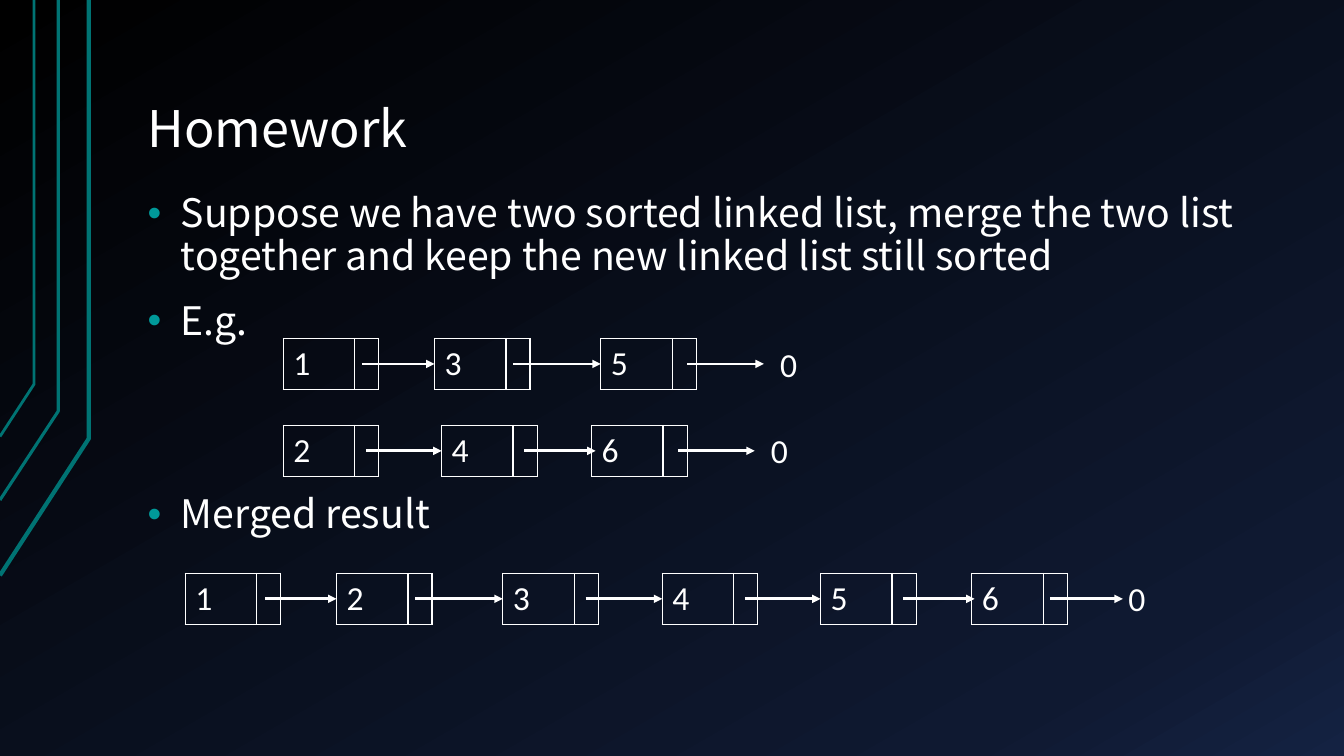
from pptx import Presentation
from pptx.dml.color import RGBColor
from pptx.enum.shapes import MSO_CONNECTOR
from pptx.enum.text import MSO_ANCHOR, MSO_AUTO_SIZE, PP_ALIGN
from pptx.oxml import parse_xml
from pptx.oxml.ns import nsdecls, qn
from pptx.util import Cm, Pt

STRAIGHT = MSO_CONNECTOR.STRAIGHT
LEFT = PP_ALIGN.LEFT
TOP, BOTTOM = MSO_ANCHOR.TOP, MSO_ANCHOR.BOTTOM
NO_AUTOFIT, GROW = MSO_AUTO_SIZE.NONE, MSO_AUTO_SIZE.SHAPE_TO_FIT_TEXT

WHITE, TEAL, BULLET_TEAL = "FFFFFF", "007373", "009999"
TEXT_FONT, NODE_FONT = "Noto Sans CJK SC", "Calibri"
VALUE_WIDTH, POINTER_WIDTH, NODE_HEIGHT = 1.8, 0.59, 1.28

BACKGROUND_STOPS = [(0, "000000"), (85, "0F1931"), (100, "142242")]
# Corner points in cm from the top left of the slide, and line width in points
EDGE_LINES = [
    ([(0, 14.5), (2.24, 11.05), (2.24, 0)], 3),
    ([(0, 12.6), (1.47, 10.36), (1.47, 0)], 2.25),
    ([(0, 11), (0.86, 9.68), (0.86, 0)], 2),
]
# Text and space before it in points; the last gap leaves room for two lists
BULLETS = [
    ("Suppose we have two sorted linked list, merge the two list together "
     "and keep the new linked list still sorted", 16),
    ("E.g.", 16),
    ("Merged result", 108),
]
# Left, top, nodes as (value, node left, arrow start, arrow end), left of the 0
LINKED_LISTS = [
    (7.14, 8.53, [("1", 0, 1.98, 3.81), ("3", 3.81, 5.79, 8),
                  ("5", 8, 10.18, 12.11)], 12.27),
    (7.14, 10.72, [("2", 0, 2.08, 3.99), ("4", 3.99, 6.07, 7.87),
                   ("6", 7.77, 9.95, 11.88)], 12.04),
    (4.67, 14.45, [("1", 0, 2.01, 3.81), ("2", 3.81, 5.79, 8),
                   ("3", 8, 10.09, 12.02), ("4", 12.02, 14.1, 16.01),
                   ("5", 16.01, 18.09, 19.89), ("6", 19.82, 21.8, 23.63)], 23.52),
]


def set_color(color_format, color):
    """Apply a hex colour to a colour format."""
    color_format.rgb = RGBColor.from_string(color)


def style_line(line, color, width):
    """Give a line a solid colour and a width in points."""
    line.fill.solid()
    set_color(line.fill.fore_color, color)
    line.width = Pt(width)


def style_text(paragraph, font_name, size):
    """Format all runs of a paragraph as white, left-aligned text."""
    paragraph.alignment = LEFT
    for run in paragraph.runs:
        run.font.name = font_name
        run.font.size = Pt(size)
        set_color(run.font.color, WHITE)


def place_placeholder(shape, box, anchor):
    """Move a placeholder to a box in cm and set its text frame."""
    shape.left, shape.top, shape.width, shape.height = map(Cm, box)
    frame = shape.text_frame
    frame.auto_size = NO_AUTOFIT
    frame.word_wrap = True
    frame.vertical_anchor = anchor
    frame.margin_left = frame.margin_right = Cm(0.34)
    frame.margin_top = frame.margin_bottom = Cm(0.17)
    return frame


def add_background(slide):
    """Fill the slide background with a diagonal gradient."""
    stops = "".join(
        f'<a:gs pos="{position * 1000}"><a:srgbClr val="{color}"/></a:gs>'
        for position, color in BACKGROUND_STOPS)
    slide.element.cSld.insert(0, parse_xml(
        f'<p:bg {nsdecls("p", "a")}><p:bgPr><a:gradFill><a:gsLst>{stops}</a:gsLst>'
        '<a:lin ang="3600000" scaled="0"/></a:gradFill><a:effectLst/></p:bgPr></p:bg>'))


def add_edge_lines(slide, left, top):
    """Draw the bent teal lines at the slide edge."""
    for points, width in EDGE_LINES:
        corners = [(Cm(left + x), Cm(top + y)) for x, y in points]
        builder = slide.shapes.build_freeform(*corners[0])
        builder.add_line_segments(corners[1:], close=False)
        shape = builder.convert_to_shape()
        shape.shadow.inherit = False
        shape.fill.background()
        style_line(shape.line, TEAL, width)


def add_title(slide, box):
    """Fill the title placeholder."""
    frame = place_placeholder(slide.shapes.title, box, BOTTOM)
    frame.text = "Homework"
    frame.paragraphs[0].line_spacing = 0.9
    style_text(frame.paragraphs[0], TEXT_FONT, 36)


def add_bullets(slide, box):
    """Fill the body placeholder with the bulleted list."""
    frame = place_placeholder(slide.placeholders[1], box, TOP)
    frame.text = "\n".join(text for text, _ in BULLETS)
    for paragraph, (_, space_before) in zip(frame.paragraphs, BULLETS):
        style_text(paragraph, TEXT_FONT, 28)
        paragraph.line_spacing = 0.9
        paragraph.space_before = Pt(space_before)
        properties = paragraph._p.get_or_add_pPr()
        properties.set("marL", str(Cm(0.84)))
        properties.set("indent", str(-Cm(0.84)))
        for xml in (f'<a:buClr {nsdecls("a")}><a:srgbClr val="{BULLET_TEAL}"/></a:buClr>',
                    f'<a:buFont {nsdecls("a")} typeface="Arial"/>',
                    f'<a:buChar {nsdecls("a")} char="•"/>'):
            properties.append(parse_xml(xml))


def add_node(slide, left, top, value):
    """Draw a list node as a table with a value cell and a pointer cell."""
    table = slide.shapes.add_table(
        1, 2, Cm(left), Cm(top), Cm(VALUE_WIDTH + POINTER_WIDTH), Cm(NODE_HEIGHT)).table
    table.first_row = table.horz_banding = False
    table.columns[0].width = Cm(VALUE_WIDTH)
    table.columns[1].width = Cm(POINTER_WIDTH)
    table.cell(0, 0).text = value
    style_text(table.cell(0, 0).text_frame.paragraphs[0], NODE_FONT, 24)
    for cell in table.iter_cells():
        properties = cell._tc.get_or_add_tcPr()
        for side in "LRTB":
            properties.append(parse_xml(
                f'<a:ln{side} {nsdecls("a")} w="{Pt(1)}"><a:solidFill>'
                f'<a:srgbClr val="{WHITE}"/></a:solidFill></a:ln{side}>'))
        cell.fill.background()


def add_arrow(slide, start, end, y):
    """Draw a horizontal arrow that points right."""
    arrow = slide.shapes.add_connector(STRAIGHT, Cm(start), Cm(y), Cm(end), Cm(y))
    style_line(arrow.line, WHITE, 2)
    line = arrow._element.spPr.find(qn("a:ln"))
    line.append(parse_xml(f'<a:tailEnd {nsdecls("a")} type="triangle"/>'))
    arrow._element.spPr.append(parse_xml(f'<a:effectLst {nsdecls("a")}/>'))


def add_linked_list(slide, left, top, nodes, end_left):
    """Draw a chain of nodes and arrows that ends in a 0."""
    for value, node_left, _, _ in nodes:
        add_node(slide, left + node_left, top, value)
    for _, _, start, end in nodes:
        add_arrow(slide, left + start, left + end, top + NODE_HEIGHT / 2)
    end_mark = slide.shapes.add_textbox(
        Cm(left + end_left), Cm(top), Cm(0.94), Cm(NODE_HEIGHT))
    frame = end_mark.text_frame
    frame.word_wrap = False
    frame.auto_size = GROW
    frame.text = "0"
    style_text(frame.paragraphs[0], NODE_FONT, 24)


def build_slide(presentation):
    """Build the homework slide."""
    slide = presentation.slides.add_slide(presentation.slide_layouts[1])
    add_background(slide)
    add_edge_lines(slide, 0, 0)
    add_title(slide, (3.38, 0.76, 28.78, 3.4))
    add_bullets(slide, (3.38, 4.72, 28.78, 12.4))
    for linked_list in LINKED_LISTS:
        add_linked_list(slide, *linked_list)


presentation = Presentation()
presentation.slide_width, presentation.slide_height = Cm(33.87), Cm(19.05)
build_slide(presentation)
presentation.save("out.pptx")
